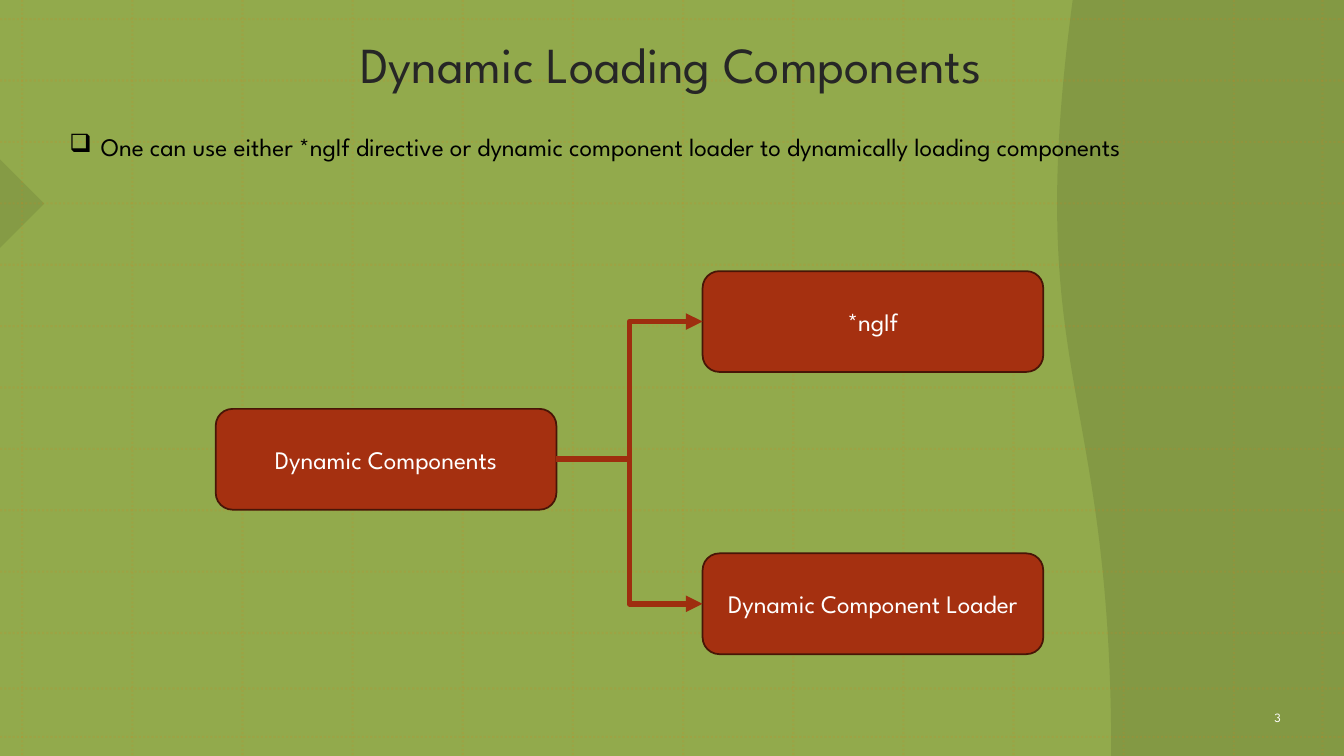
from pptx import Presentation
from pptx.dml.color import RGBColor
from pptx.enum.dml import MSO_LINE
from pptx.enum.shapes import MSO_CONNECTOR as Link, MSO_SHAPE as Preset
from pptx.enum.text import MSO_ANCHOR as Anchor, PP_ALIGN as Align
from pptx.oxml.ns import qn
from pptx.util import Pt
from lxml.etree import SubElement

FONT = "League Spartan"
GREEN = RGBColor(0x92, 0xAA, 0x4C)
DARK_GREEN = RGBColor(0x49, 0x55, 0x26)
ORANGE = RGBColor(0xDE, 0x7E, 0x18)
RED = RGBColor(0xA5, 0x30, 0x10)
ARROW_RED = RGBColor(0x9E, 0x2E, 0x0F)
DARK_RED = RGBColor(0x48, 0x15, 0x07)
CHARCOAL = RGBColor(0x26, 0x26, 0x26)
BLACK = RGBColor(0, 0, 0)
WHITE = RGBColor(0xFF, 0xFF, 0xFF)


def write(frame, text, size=18, color=WHITE, align=Align.CENTER,
          anchor=Anchor.MIDDLE, bullet=None, indent=0):
    frame.word_wrap = True
    frame.vertical_anchor = anchor
    paragraph = frame.paragraphs[0]
    paragraph.alignment = align
    run = paragraph.add_run()
    run.text = text
    run.font.name = FONT
    run.font.size = Pt(size)
    run.font.color.rgb = color
    if bullet:
        properties = paragraph._p.get_or_add_pPr()
        properties.set("marL", str(Pt(indent)))
        properties.set("indent", str(-Pt(indent)))
        SubElement(properties, qn("a:buChar"), char=bullet)


def set_opacity(part, percent):
    for color in part.element.spPr.iter(qn("a:srgbClr")):
        SubElement(color, qn("a:alpha"), val=str(percent * 1000))


def add_filled(slide, preset, left, top, width, height, fill):
    shape = slide.shapes.add_shape(preset, Pt(left), Pt(top), Pt(width), Pt(height))
    shape.shadow.inherit = False
    shape.fill.solid()
    shape.fill.fore_color.rgb = fill
    shape.line.fill.background()
    return shape


def add_link(slide, kind, start, end, color, width):
    link = slide.shapes.add_connector(kind, *map(Pt, start + end))
    link.line.color.rgb = color
    link.line.width = Pt(width)
    SubElement(link.element.spPr, qn("a:effectLst"))
    return link


def draw_backdrop(slide, left, top, width, height):
    slide.background.fill.solid()
    slide.background.fill.fore_color.rgb = GREEN

    notch_size = 44.64
    notch = add_filled(slide, Preset.RIGHT_TRIANGLE, left - notch_size / 2,
                       top + 123.12, notch_size, notch_size, DARK_GREEN)
    notch.rotation = 225
    set_opacity(notch, 17)

    wave_depth = 208.8
    wave = add_filled(slide, Preset.FLOWCHART_DOCUMENT, left + 586.8,
                      top + (height - wave_depth) / 2, height, wave_depth, DARK_GREEN)
    wave.rotation = 90
    set_opacity(wave, 20)

    columns = [left + 15.84 + 78.68 * i for i in range(12)] + [left + 944.64]
    rows = [top + 13.68 + 43.85 * i for i in range(11)] + [top + 491.76, top + 526.32]
    grid = [((x, top), (x, top + height)) for x in columns]
    grid += [((left, y), (left + width, y)) for y in rows]
    for start, end in grid:
        guide = add_link(slide, Link.STRAIGHT, start, end, ORANGE, 1.5)
        guide.line.dash_style = MSO_LINE.ROUND_DOT
        set_opacity(guide, 15)


def add_text(slide, left, top, width, height, text, **style):
    box = slide.shapes.add_textbox(Pt(left), Pt(top), Pt(width), Pt(height))
    write(box.text_frame, text, **style)


def draw_heading(slide, left, top, width, height):
    title_height = 69.84
    add_text(slide, left, top, width, title_height, "Dynamic Loading Components ",
             size=36, color=CHARCOAL, anchor=Anchor.TOP)
    add_text(slide, left + 18.72, top + title_height, 848.88, height - title_height,
             "One can use either *ngIf directive or dynamic component loader "
             "to dynamically loading components",
             color=BLACK, align=Align.LEFT, anchor=Anchor.TOP, bullet="❑", indent=22.5)


def draw_diagram(slide, left, top, width, height):
    node_width, node_height = 243.36, 72

    def add_node(x, y, label):
        node = add_filled(slide, Preset.ROUNDED_RECTANGLE, x, y,
                          node_width, node_height, RED)
        node.line.color.rgb = DARK_RED
        node.line.width = Pt(1.25)
        write(node.text_frame, label)
        return node

    option_left = left + width - node_width
    ng_if = add_node(option_left, top, "*ngIf")
    components = add_node(left, top + 98.4, "Dynamic Components")
    loader = add_node(option_left, top + height - node_height, "Dynamic Component Loader")

    for option in (ng_if, loader):
        arrow = add_link(slide, Link.ELBOW, (0, 0), (0, 0), ARROW_RED, 4)
        arrow.begin_connect(components, 3)
        arrow.end_connect(option, 1)
        SubElement(arrow.line._get_or_add_ln(), qn("a:tailEnd"), type="triangle")


def main():
    deck = Presentation()
    deck.slide_width, deck.slide_height = Pt(960), Pt(540)
    slide = deck.slides.add_slide(deck.slide_layouts[6])
    draw_backdrop(slide, 0, 0, 960, 540)
    draw_heading(slide, 23.76, 20.16, 920.16, 120.96)
    draw_diagram(slide, 154.08, 193.68, 591.12, 273.6)
    add_text(slide, 881.28, 498.24, 62.64, 28.8, "3", size=9)
    deck.save("out.pptx")


if __name__ == "__main__":
    main()
